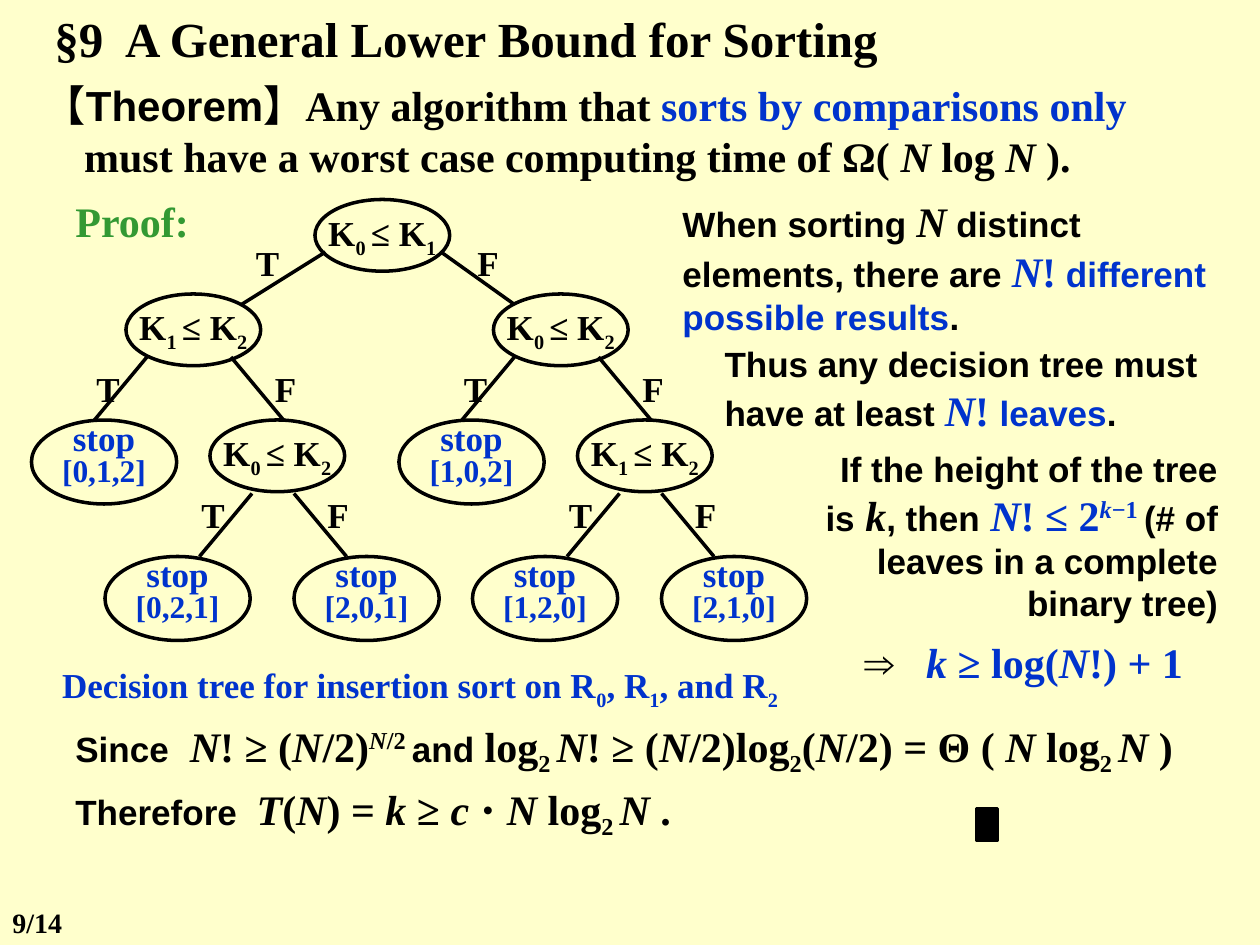
from lxml.etree import SubElement
from pptx import Presentation
from pptx.dml.color import RGBColor
from pptx.enum.shapes import MSO_CONNECTOR, MSO_SHAPE
from pptx.enum.text import MSO_ANCHOR, PP_ALIGN
from pptx.oxml.ns import qn
from pptx.util import Pt

COLORS = {"paper": "FFFFCC", "ink": "000000", "blue": "0033CC", "green": "339933"}
SERIF, SANS = "Times New Roman", "Arial"
BASELINES = {"_": "-25000", "^": "30000"}
MIDDLE = {"vertical_anchor": MSO_ANCHOR.MIDDLE, "word_wrap": False}
CENTERED = {"alignment": PP_ALIGN.CENTER}
FLUSH = {"margin_left": 0, "margin_right": 0}
LEAF_FRAME = {**MIDDLE, "margin_top": 0, "margin_bottom": Pt(6.5)}
LEAF_LINES = {**CENTERED, "line_spacing": 0.8}


def color(name):
    """Return the named colour."""
    return RGBColor.from_string(COLORS[name])


def apply(target, values):
    """Set every attribute in values on target."""
    for name, value in values.items():
        setattr(target, name, value)


def write(paragraph, runs, size=24):
    """Add (text, marks) runs: i italic, s sans, b blue, g green, _ sub, ^ super."""
    for text, marks in runs:
        run = paragraph.add_run()
        run.text = text
        sans = "s" in marks
        apply(run.font, {"name": SANS if sans else SERIF, "bold": True,
                         "italic": "i" in marks, "size": Pt(min(size, 20) if sans else size)})
        run.font.color.rgb = color("blue" if "b" in marks else "green" if "g" in marks else "ink")
        for mark in BASELINES.keys() & set(marks):
            run.font._element.set("baseline", BASELINES[mark])


def passage(slide, box, runs, size=24, frame=None, layout=None):
    """Place one paragraph of text in box and return the paragraph."""
    text_frame = slide.shapes.add_textbox(*map(Pt, box)).text_frame
    apply(text_frame, {"word_wrap": True, **(frame or {})})
    paragraph = text_frame.paragraphs[0]
    apply(paragraph, layout or {})
    write(paragraph, runs, size)
    return paragraph


def outlined(slide, kind, box):
    """Place a preset shape with a black outline and no fill."""
    shape = slide.shapes.add_shape(kind, *map(Pt, box))
    shape.shadow.inherit = False
    shape.fill.background()
    shape.line.color.rgb = color("ink")
    shape.line.width = Pt(2)
    return shape


def comparison(slide, left, top, first, second):
    """Place a decision node that compares two keys."""
    frame = outlined(slide, MSO_SHAPE.OVAL, (left, top, 77, 41)).text_frame
    apply(frame, MIDDLE)
    apply(frame.paragraphs[0], CENTERED)
    write(frame.paragraphs[0],
          [("K", ""), (f"{first} ", "_"), ("≤ K", ""), (f"{second}", "_")], 20)


def leaf(slide, left, top, order):
    """Place a stop node with its resulting order."""
    frame = outlined(slide, MSO_SHAPE.OVAL, (left, top, 83, 48)).text_frame
    apply(frame, LEAF_FRAME)
    for paragraph, text, size in ((frame.paragraphs[0], "stop", 20),
                                  (frame.add_paragraph(), f"[{order}]", 18)):
        apply(paragraph, LEAF_LINES)
        write(paragraph, [(text, "b")], size)


def branch(slide, start, end, answer, label_box):
    """Draw a branch with its T or F label."""
    edge = slide.shapes.add_connector(MSO_CONNECTOR.STRAIGHT, *map(Pt, (*start, *end)))
    edge.line.color.rgb = color("ink")
    edge.line.width = Pt(2)
    SubElement(edge._element.spPr, qn("a:effectLst"))
    passage(slide, label_box, [(answer, "")], 20, MIDDLE, CENTERED)


def fork(slide, left, top, true_label, false_label):
    """Draw a pair of branches whose starts are symmetric, 24 or more apart."""
    for answer, (start, label), step in (("T", true_label, -30), ("F", false_label, 30)):
        branch(slide, (left + start, top), (left + start + step, top + 36),
               answer, (left + label, top + (6 if top == 204 else 0), 24, 24))


def subtree(slide, left, top, upper, lower, orders):
    """Place one half of the decision tree in the box starting at left, top."""
    comparison(slide, left + 54, top, *upper)
    comparison(slide, left + 102, top + 72, *lower)
    for (x, y), order in zip(((0, 72), (42, 150), (150, 150)), orders):
        leaf(slide, left + x, top + y, order)
    fork(slide, left, top + 36, (66, 30), (114, 132))
    fork(slide, left, top + 114, (126, 90), (150, 162))


def decision_tree(slide, left, top):
    """Place the whole decision tree and its caption."""
    comparison(slide, left + 162, top, 0, 1)
    subtree(slide, left, top + 54, (1, 2), (0, 2), ("0,1,2", "0,2,1", "2,0,1"))
    subtree(slide, left + 210, top + 54, (0, 2), (1, 2), ("1,0,2", "1,2,0", "2,1,0"))
    for answer, start, end, label in (("T", 168, 120, 120), ("F", 234, 276, 246)):
        branch(slide, (left + start, top + 30), (left + end, top + 60),
               answer, (left + label, top + 24, 30, 24))
    caption = [("Decision tree for insertion sort on R", "b"), ("0", "b_"), (", R", "b"),
               ("1", "b_"), (", and R", "b"), ("2", "b_")]
    passage(slide, (left + 6, top + 258, 432, 42), caption, 20, MIDDLE, CENTERED)


def heading(slide, left, top):
    """Place the title, the theorem and the proof label."""
    passage(slide, (left + 6, top, 552, 41),
            [("§9  A General Lower Bound for Sorting", "")], 28)
    theorem = passage(slide, (left, top + 40.5, 660, 65), [])
    theorem._p.get_or_add_pPr().attrib.update({"marL": str(Pt(23)), "indent": str(Pt(-23))})
    write(theorem, [("【Theorem】", "s")], 24)
    theorem.runs[0].font.size = Pt(24)
    write(theorem, [("Any algorithm that ", ""), ("sorts by comparisons only", "b"),
                    (" must have a worst case computing time of Ω( ", ""),
                    ("N", "i"), (" log ", ""), ("N", "i"), (" ).", "")])
    passage(slide, (left + 18, top + 106.5, 84, 36), [("Proof:", "g")])


def argument(slide, left, top):
    """Place the steps of the proof beside the tree."""
    passage(slide, (left, top, 306, 89),
            [("When sorting ", "s"), ("N", "i"), (" distinct elements, there are ", "s"),
             ("N", "ib"), ("!", "b"), (" different possible results", "sb"), (".", "s")],
            frame=FLUSH)
    passage(slide, (left + 24, top + 84, 276, 60),
            [("Thus any decision tree must have at least ", "s"), ("N", "ib"), ("! ", "b"),
             ("leaves", "sb"), (".", "s")], frame=FLUSH)
    passage(slide, (left + 72, top + 144, 234, 108),
            [("If the height of the tree is", "s"), (" ", ""), ("k", "i"), (", then", "s"),
             (" ", ""), ("N", "ib"), ("! ≤ 2", "b"), ("k", "ib^"), ("−1 ", "b^"),
             ("(# of leaves in a complete binary tree)", "s")],
            frame=FLUSH, layout={"alignment": PP_ALIGN.RIGHT})
    passage(slide, (left + 84, top + 252, 222, 36),
            [("⇒   ", ""), ("k ", "ib"), ("≥ log(", "b"), ("N", "ib"), ("!) + 1", "b")],
            layout=CENTERED)


def conclusion(slide, left, top):
    """Place the closing formulas and the end-of-proof mark."""
    passage(slide, (left, top, 654, 36),
            [("Since", "s"), ("  ", ""), ("N", "i"), ("! ≥ (", ""), ("N", "i"), ("/2)", ""),
             ("N", "i^"), ("/2 ", "^"), ("and", "s"), (" log", ""), ("2 ", "_"), ("N", "i"),
             ("! ≥ (", ""), ("N", "i"), ("/2)log", ""), ("2", "_"), ("(", ""), ("N", "i"),
             ("/2) = Θ ( ", ""), ("N", "i"), (" log", ""), ("2 ", "_"), ("N", "i"), (" )", "")])
    passage(slide, (left, top + 36, 654, 36),
            [("Therefore  ", "s"), ("T", "i"), ("(", ""), ("N", "i"), (") = ", ""), ("k ", "i"),
             ("≥ ", ""), ("c ", "i"), ("⋅ ", ""), ("N", "i"), (" log", ""), ("2 ", "_"),
             ("N", "i"), (" .", "")])
    end_mark = outlined(slide, MSO_SHAPE.RECTANGLE, (left + 522, top + 54, 12, 18))
    end_mark.fill.solid()
    end_mark.fill.fore_color.rgb = color("ink")


def main():
    """Build and save the slide."""
    deck = Presentation()
    apply(deck, {"slide_width": Pt(720), "slide_height": Pt(540)})
    slide = deck.slides.add_slide(deck.slide_layouts[6])
    slide.background.fill.solid()
    slide.background.fill.fore_color.rgb = color("paper")
    heading(slide, 18, 1.5)
    decision_tree(slide, 18, 114)
    argument(slide, 390, 108)
    conclusion(slide, 36, 408)
    passage(slide, (0, 514, 70, 27), [("9/14", "")], 16)
    deck.save("out.pptx")


main()
